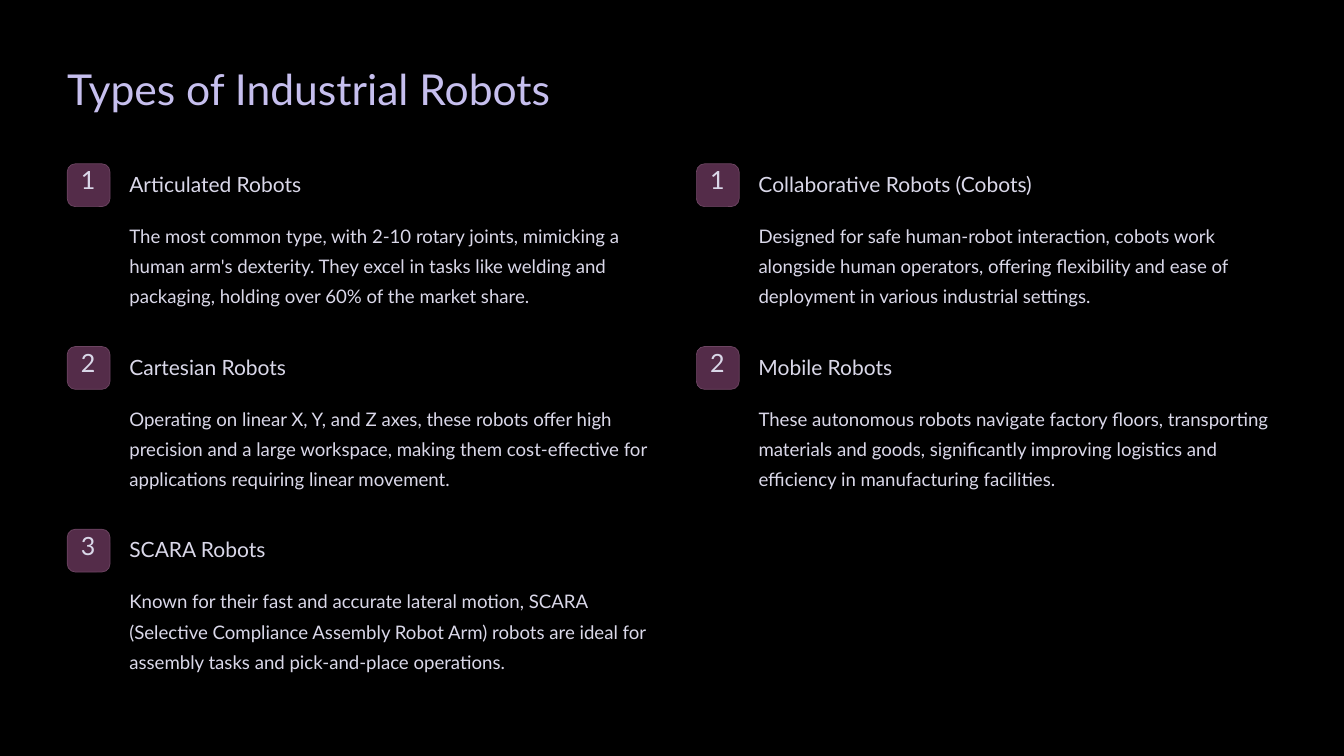
from pptx import Presentation
from pptx.dml.color import RGBColor
from pptx.enum.shapes import MSO_SHAPE
from pptx.enum.text import PP_ALIGN
from pptx.util import Inches, Pt

COLORS = {
    "background": "000000",
    "title": "C6BFEE",
    "body": "DAD8E9",
    "badge": "542C49",
    "badge_line": "6D4562",
}
FONT = "Lato"
BADGE_SIZE = 0.51
ROW_PITCH = 2.175

ROBOT_COLUMNS = [
    (0.8, [
        ("Articulated Robots", 2.54,
         "The most common type, with 2-10 rotary joints, mimicking a human arm's dexterity. "
         "They excel in tasks like welding and packaging, holding over 60% of the market share."),
        ("Cartesian Robots", 2.54,
         "Operating on linear X, Y, and Z axes, these robots offer high precision and a large "
         "workspace, making them cost-effective for applications requiring linear movement."),
        ("SCARA Robots", 2.54,
         "Known for their fast and accurate lateral motion, SCARA (Selective Compliance Assembly "
         "Robot Arm) robots are ideal for assembly tasks and pick-and-place operations."),
    ]),
    (8.29, [
        ("Collaborative Robots (Cobots)", 3.7,
         "Designed for safe human-robot interaction, cobots work alongside human operators, "
         "offering flexibility and ease of deployment in various industrial settings."),
        ("Mobile Robots", 2.54,
         "These autonomous robots navigate factory floors, transporting materials and goods, "
         "significantly improving logistics and efficiency in manufacturing facilities."),
    ]),
]


def color(name):
    return RGBColor.from_string(COLORS[name])


def add_text(slide, box, text, size, line_height, tint="body", align=PP_ALIGN.LEFT, wrap=False):
    frame = slide.shapes.add_textbox(*map(Inches, box)).text_frame
    frame.margin_left = frame.margin_right = frame.margin_top = frame.margin_bottom = 0
    frame.word_wrap = wrap
    paragraph = frame.paragraphs[0]
    paragraph.alignment = align
    paragraph.line_spacing = Pt(line_height)
    run = paragraph.add_run()
    run.text = text
    run.font.name = FONT
    run.font.size = Pt(size)
    run.font.color.rgb = color(tint)


def add_badge(slide, left, top, number):
    badge = slide.shapes.add_shape(
        MSO_SHAPE.ROUNDED_RECTANGLE, *map(Inches, (left, top, BADGE_SIZE, BADGE_SIZE)))
    badge.adjustments[0] = 0.19
    badge.shadow.inherit = False
    badge.fill.solid()
    badge.fill.fore_color.rgb = color("badge")
    badge.line.color.rgb = color("badge_line")
    badge.line.width = Pt(0.6)
    add_text(slide, (left + 0.1, top + 0.07, 0.3, 0.38), str(number), 21.5, 21.5,
             align=PP_ALIGN.CENTER)


def add_robot(slide, left, top, number, name, name_width, description):
    add_badge(slide, left, top, number)
    text_left = left + 0.74
    add_text(slide, (text_left, top + 0.08, name_width, 0.32), name, 18, 22.5)
    add_text(slide, (text_left, top + 0.63, 6.18, 1.09), description, 16, 26, wrap=True)


def add_robot_column(slide, left, top, robots):
    for index, robot in enumerate(robots):
        add_robot(slide, left, top + index * ROW_PITCH, index + 1, *robot)


def main():
    presentation = Presentation()
    presentation.slide_width = Inches(16)
    presentation.slide_height = Inches(9)
    slide = presentation.slides.add_slide(presentation.slide_layouts[6])
    slide.background.fill.solid()
    slide.background.fill.fore_color.rgb = color("background")
    add_text(slide, (0.8, 0.72, 6.45, 0.63), "Types of Industrial Robots", 36.5, 45.5, "title")
    for left, robots in ROBOT_COLUMNS:
        add_robot_column(slide, left, 1.95, robots)
    presentation.save("out.pptx")


if __name__ == "__main__":
    main()
